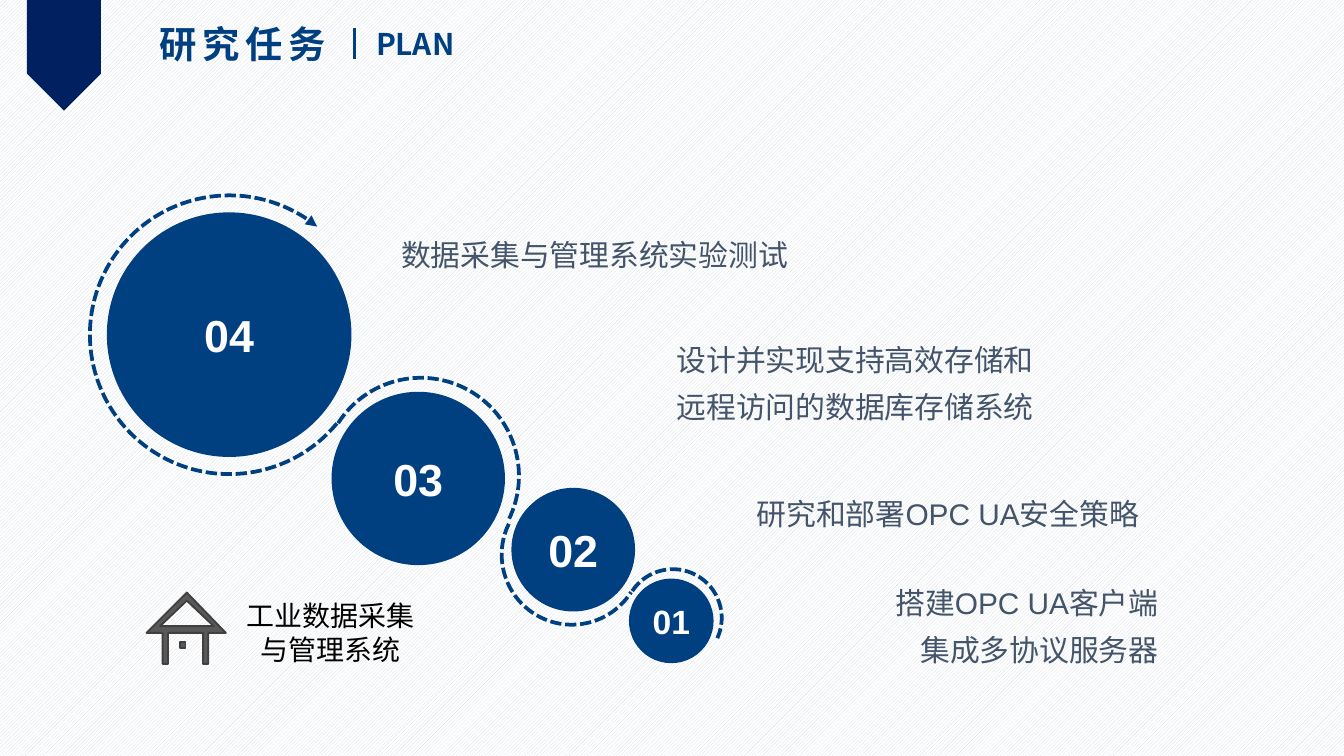
from itertools import pairwise
from math import cos, radians, sin, tan

from lxml.etree import SubElement
from pptx import Presentation
from pptx.dml.color import RGBColor
from pptx.enum.dml import MSO_LINE, MSO_PATTERN
from pptx.enum.shapes import MSO_CONNECTOR, MSO_SHAPE
from pptx.enum.text import MSO_ANCHOR, MSO_AUTO_SIZE, PP_ALIGN
from pptx.oxml.ns import qn
from pptx.util import Inches, Pt

BLUE = RGBColor(0x00, 0x40, 0x80)
NAVY = RGBColor(0x00, 0x20, 0x60)
SLATE = RGBColor(0x44, 0x54, 0x6A)
HATCH = RGBColor(0xD6, 0xDC, 0xE5)
ROOF = RGBColor(0x59, 0x59, 0x59)
ROOF_EDGE = RGBColor(0x40, 0x40, 0x40)
WHITE = RGBColor(0xFF, 0xFF, 0xFF)
BLACK = RGBColor(0x00, 0x00, 0x00)
LATIN, HAN = "Arial", "Noto Sans CJK SC"

deck = Presentation()
deck.slide_width, deck.slide_height = Inches(10), Inches(5.625)
CELL = deck.slide_width // 100  # square grid, 100 columns across the slide
page = deck.slides.add_slide(deck.slide_layouts[5])
shapes = page.shapes


def grid(*cells):
    """Turn grid columns and rows into slide lengths."""
    return [round(cell * CELL) for cell in cells]


def write(box, lines, size, color, font=HAN, bold=False, align=PP_ALIGN.LEFT,
          leading=1.0, wrap=True):
    """Fill the box with one paragraph per line and return its last run."""
    frame = box.text_frame
    frame.word_wrap = wrap
    for number, line in enumerate(lines):
        para = frame.add_paragraph() if number else frame.paragraphs[0]
        para.alignment, para.line_spacing = align, leading
        span = para.add_run()
        span.text = line
        span.font.name, span.font.size = font, Pt(size)
        span.font.bold, span.font.color.rgb = bold, color
        SubElement(span.font._element, qn("a:ea"), typeface=HAN)
    return span


# Hatched background and ribbon
backdrop = page.background.fill
backdrop.patterned()
backdrop.pattern = MSO_PATTERN.LIGHT_UPWARD_DIAGONAL
backdrop.fore_color.rgb, backdrop.back_color.rgb = HATCH, WHITE

ribbon = shapes.add_shape(MSO_SHAPE.PENTAGON, *grid(0.63, 1.36, 8.25, 5.5))
ribbon.rotation = 90
ribbon.shadow.inherit = False
ribbon.fill.solid()
ribbon.fill.fore_color.rgb = NAVY
ribbon.line.fill.background()

# Dashed trail: left, top, radius, then the angles where Bezier pieces meet
TILT = 29.1
arcs = [
    (6.7, 14.5, 10.37, (10.4, 90, 180, 270, 280)),
    (25.9, 28.6, 7.3, (183.4, 270, 356.9)),
    (36.0, 41.2, 5.22, (176.9, 90, 3.4)),
    (47.4, 42.6, 3.63, (184.4, 270, 355.4)),
]
for number, (left, top, radius, stops) in enumerate(arcs):
    points = []
    for start, end in pairwise(map(radians, stops)):
        pull = 4 / 3 * tan((end - start) / 4)
        points += [
            (cos(start) - pull * sin(start), sin(start) + pull * cos(start)),
            (cos(end) + pull * sin(end), sin(end) - pull * cos(end)),
            (cos(end), sin(end)),
        ]
    first = radians(stops[0])
    builder = shapes.build_freeform(*grid(radius * cos(first), radius * sin(first)))
    builder.add_line_segments([grid(radius * x, radius * y) for x, y in points],
                              close=False)
    arc = builder.convert_to_shape()
    arc.left, arc.top = grid(left, top)
    arc.rotation = TILT
    outline = next(arc.element.iter(qn("a:path")))
    segments = outline.findall(qn("a:lnTo"))
    for i, segment in enumerate(segments):
        if i % 3 == 0:
            curve = SubElement(outline, qn("a:cubicBezTo"))
        curve.append(segment[0])
        outline.remove(segment)
    arc.shadow.inherit = False
    arc.fill.background()
    arc.line.color.rgb, arc.line.width = BLUE, Pt(2)
    arc.line.dash_style = MSO_LINE.SQUARE_DOT
    if number == 0:
        SubElement(arc.element.spPr.find(qn("a:ln")), qn("a:tailEnd"), type="triangle")

# Numbered discs: label, left, top, diameter, text size
discs = [
    ("04", 7.95, 15.8, 18.2, 24),
    ("03", 24.67, 29.15, 12.9, 24),
    ("02", 38.05, 36.3, 9.2, 24),
    ("01", 46.8, 43.05, 6.3, 18),
]
for label, left, top, size, points in discs:
    disc = shapes.add_shape(MSO_SHAPE.OVAL, *grid(left, top, size, size))
    disc.shadow.inherit = False
    disc.fill.solid()
    disc.fill.fore_color.rgb = BLUE
    disc.line.fill.background()
    frame = disc.text_frame
    frame.vertical_anchor = MSO_ANCHOR.MIDDLE
    frame.margin_left, frame.margin_right = grid(0.7, 0.7)
    frame.margin_top, frame.margin_bottom = grid(0.4, 0.4)
    write(disc, [label], points, WHITE, LATIN, True, PP_ALIGN.CENTER)

# Task descriptions
tasks = [
    ((29.15, 16.4, 34.8, 4.2), PP_ALIGN.JUSTIFY, ["数据采集与管理系统实验测试"]),
    ((42.45, 35.7, 43, 4.2), PP_ALIGN.RIGHT, ["研究和部署OPC UA安全策略"]),
    ((40.65, 24.25, 37, 7.7), PP_ALIGN.RIGHT,
     ["设计并实现支持高效存储和", "远程访问的数据库存储系统"]),
    ((55.7, 42.33, 31.2, 7.7), PP_ALIGN.RIGHT,
     ["搭建OPC UA客户端", "集成多协议服务器"]),
]
for place, align, lines in tasks:
    box = shapes.add_textbox(*grid(*place))
    frame = box.text_frame
    frame.auto_size = MSO_AUTO_SIZE.SHAPE_TO_FIT_TEXT
    frame.margin_left, frame.margin_right = grid(0.7, 0.7)
    frame.margin_top, frame.margin_bottom = grid(0.4, 0.4)
    write(box, lines, 16, SLATE, LATIN, align=align, leading=1.3)

# Heading
title = shapes.title
title.left, title.top, title.width, title.height = grid(10.9, 1.1, 14.8, 4.4)
title.text_frame.vertical_anchor = MSO_ANCHOR.TOP
title.text_frame.auto_size = MSO_AUTO_SIZE.SHAPE_TO_FIT_TEXT
heading = write(title, ["研究任务"], 20, BLUE, bold=True, wrap=False)
heading.font._element.set("spc", "300")

subtitle = shapes.add_textbox(*grid(27, 1.4, 8.3, 3.7))
write(subtitle, ["PLAN"], 16, BLUE, bold=True, wrap=False)

divider = shapes.add_connector(MSO_CONNECTOR.STRAIGHT, *grid(26.4, 2.1, 26.4, 4.4))
divider.line.color.rgb, divider.line.width = BLUE, Pt(1.5)
SubElement(divider.element.spPr, qn("a:effectLst"))

# House icon: window, gable opening, outer outline
house_outlines = [
    [(13.8, 47.8), (13.4, 47.8), (13.4, 48.2), (13.8, 48.2)],
    [(11.9, 46.6), (13.9, 44.7), (15.9, 46.6)],
    [(13.9, 44.1), (10.9, 47.1), (12.1, 47.1), (12.1, 49.4), (12.5, 49.4),
     (12.5, 47.1), (15.1, 47.1), (15.1, 49.4), (15.5, 49.4), (15.5, 47.1),
     (16.8, 47.1)],
]
window, *openings = [[grid(*point) for point in outline] for outline in house_outlines]
builder = shapes.build_freeform(*window[0])
builder.add_line_segments(window[1:])
for outline in openings:
    builder.move_to(*outline[0])
    builder.add_line_segments(outline[1:])
house = builder.convert_to_shape()
house.shadow.inherit = False
house.fill.solid()
house.fill.fore_color.rgb = ROOF
house.line.color.rgb, house.line.width = ROOF_EDGE, Pt(1)

caption = shapes.add_textbox(*grid(15.2, 44.05, 18.8, 6))
write(caption, ["工业数据采集", "与管理系统"], 15, BLACK, align=PP_ALIGN.CENTER)

deck.save("out.pptx")
